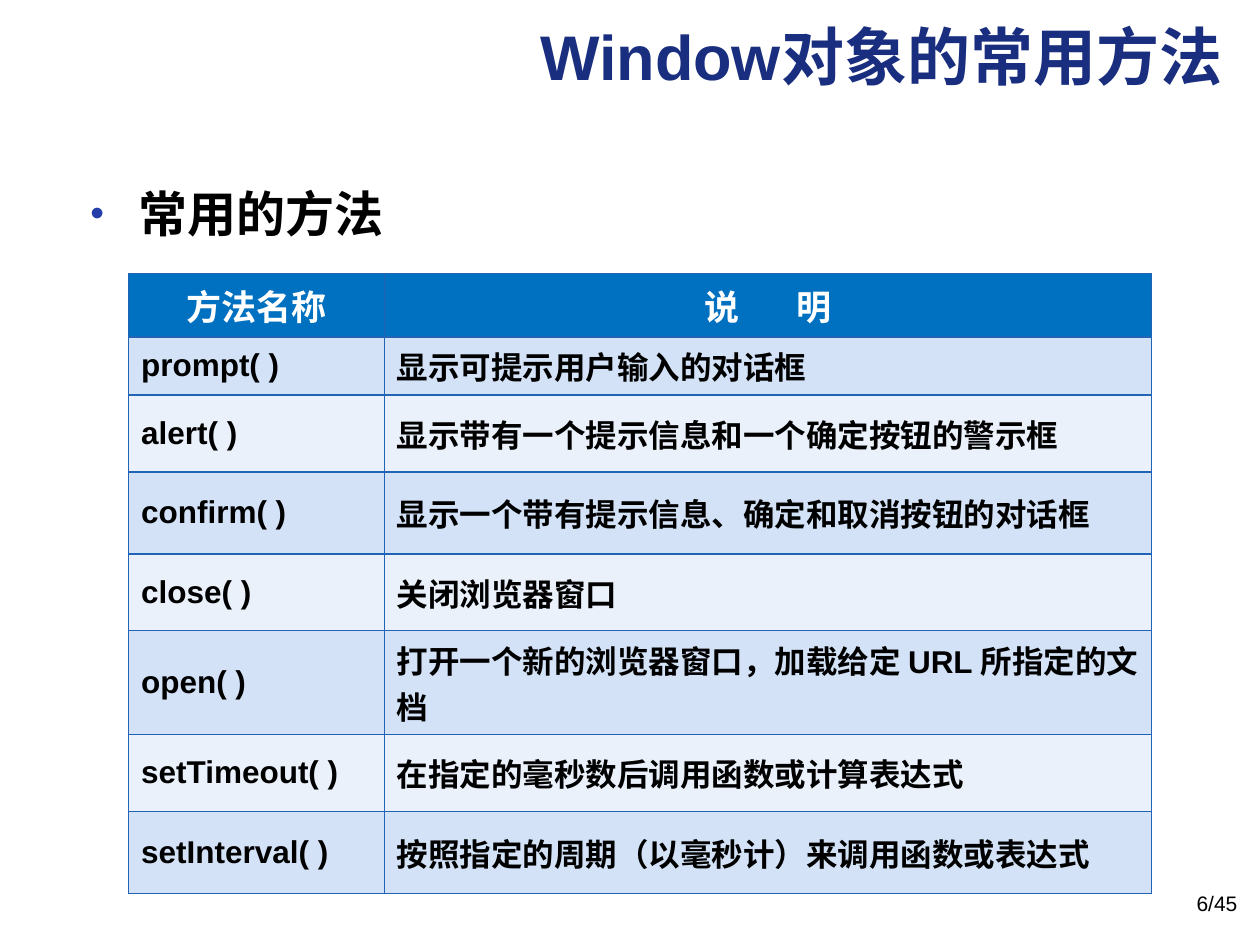
from dataclasses import dataclass
from typing import NamedTuple, Optional

from lxml.etree import SubElement
from pptx import Presentation
from pptx.dml.color import RGBColor
from pptx.enum.lang import MSO_LANGUAGE_ID
from pptx.enum.text import MSO_ANCHOR, MSO_AUTO_SIZE, PP_ALIGN
from pptx.oxml.ns import qn
from pptx.util import Inches, Pt


@dataclass(frozen=True)
class Theme:
    font: str = "Arial"
    title: str = "1A2E7F"
    text: str = "000000"
    header_text: str = "FFFFFF"
    bullet: str = "233DA9"
    border: str = "2163B4"
    header_fill: str = "0070C0"
    bands: tuple = ("D3E2F7", "EAF1FB")
    title_size: int = 36
    body_size: int = 28
    header_size: int = 20
    cell_size: int = 18
    number_size: int = 12
    paragraph_gap: float = 0.2


class Box(NamedTuple):
    left: float
    top: float
    width: float
    height: float


class Method(NamedTuple):
    name: str
    description: str
    height: float


THEME = Theme()
TITLE_BOX = Box(0.8, 0.09, 9, 0.98)
SUBTITLE_BOX = Box(0.62, 1.17, 9, 0.88)
TABLE_BOX = Box(1.02, 2.17, 8.13, 4.71)
NUMBER_BOX = Box(7.59, 7.02, 2.33, 0.4)
COLUMN_WIDTHS = (2.03, 6.09)
HEADER = Method("方法名称", "说 明", 0.4)
HEADER_LETTER_GAP = 27.8
METHODS = (
    Method("prompt( )", "显示可提示用户输入的对话框", 0.43),
    Method("alert( )", "显示带有一个提示信息和一个确定按钮的警示框", 0.61),
    Method("confirm( )", "显示一个带有提示信息、确定和取消按钮的对话框", 0.65),
    Method("close( )", "关闭浏览器窗口", 0.61),
    Method("open( )", "打开一个新的浏览器窗口，加载给定 URL 所指定的文档", 0.65),
    Method("setTimeout( )", "在指定的毫秒数后调用函数或计算表达式", 0.61),
    Method("setInterval( )", "按照指定的周期（以毫秒计）来调用函数或表达式", 0.65),
)


def write_text(frame, text: str, *, size: int, color: str = THEME.text,
               bold: bool = True, align: PP_ALIGN = PP_ALIGN.LEFT,
               gap: float = 0, word_gap: Optional[float] = None):
    paragraph = frame.paragraphs[0]
    paragraph.alignment = align
    paragraph.space_before = Pt(size * gap)
    pieces = [text] if word_gap is None else text.partition(" ")
    for piece in pieces:
        run = paragraph.add_run()
        run.text = piece
        run.font.name = THEME.font
        run.font.size = Pt(size)
        run.font.bold = bold
        run.font.color.rgb = RGBColor.from_string(color)
        run.font.language_id = MSO_LANGUAGE_ID.SIMPLIFIED_CHINESE
        if piece == " ":
            run._r.get_or_add_rPr().set("spc", str(round(word_gap * 100)))
    return paragraph


def place(shape, box: Box) -> None:
    shape.left, shape.top, shape.width, shape.height = map(Inches, box)
    frame = shape.text_frame
    frame.word_wrap = True
    frame.auto_size = MSO_AUTO_SIZE.NONE
    frame.vertical_anchor = MSO_ANCHOR.TOP


def add_text_box(slide, box: Box):
    shape = slide.shapes.add_textbox(*map(Inches, box))
    place(shape, box)
    return shape.text_frame


def add_bullet(paragraph) -> None:
    properties = paragraph._p.get_or_add_pPr()
    properties.set("marL", str(Inches(0.38)))
    properties.set("indent", str(-Inches(0.38)))
    color = SubElement(properties, qn("a:buClr"))
    SubElement(color, qn("a:srgbClr"), val=THEME.bullet)
    SubElement(properties, qn("a:buSzPct"), val="80000")
    SubElement(properties, qn("a:buFont"), typeface=THEME.font)
    SubElement(properties, qn("a:buChar"), char="•")


def format_cell(cell, fill: str) -> None:
    properties = cell._tc.get_or_add_tcPr()
    for side in ("a:lnL", "a:lnR", "a:lnT", "a:lnB"):
        line = SubElement(properties, qn(side), w=str(Pt(1)))
        solid = SubElement(line, qn("a:solidFill"))
        SubElement(solid, qn("a:srgbClr"), val=THEME.border)
    cell.fill.solid()
    cell.fill.fore_color.rgb = RGBColor.from_string(fill)


def add_method_table(slide) -> None:
    rows = (HEADER, *METHODS)
    table = slide.shapes.add_table(
        len(rows), len(COLUMN_WIDTHS), *map(Inches, TABLE_BOX)).table
    for column, width in zip(table.columns, COLUMN_WIDTHS):
        column.width = Inches(width)
    for index, method in enumerate(rows):
        table.rows[index].height = Inches(method.height)
        for column, text in enumerate((method.name, method.description)):
            cell = table.cell(index, column)
            if index == 0:
                format_cell(cell, THEME.header_fill)
                write_text(cell.text_frame, text, size=THEME.header_size,
                           color=THEME.header_text, align=PP_ALIGN.CENTER,
                           gap=THEME.paragraph_gap, word_gap=HEADER_LETTER_GAP)
            else:
                format_cell(cell, THEME.bands[(index - 1) % 2])
                cell.vertical_anchor = MSO_ANCHOR.MIDDLE
                write_text(cell.text_frame, text, size=THEME.cell_size,
                           gap=THEME.paragraph_gap)


def main() -> None:
    presentation = Presentation()
    presentation.slide_width = Inches(10)
    presentation.slide_height = Inches(7.5)
    slide = presentation.slides.add_slide(presentation.slide_layouts[5])

    title = slide.shapes.title
    place(title, TITLE_BOX)
    write_text(title.text_frame, "Window对象的常用方法", size=THEME.title_size,
               color=THEME.title, align=PP_ALIGN.RIGHT)

    subtitle = write_text(add_text_box(slide, SUBTITLE_BOX), "常用的方法",
                          size=THEME.body_size, gap=THEME.paragraph_gap)
    subtitle.line_spacing = 1.5
    add_bullet(subtitle)

    add_method_table(slide)
    write_text(add_text_box(slide, NUMBER_BOX), "6/45", size=THEME.number_size,
               bold=False, align=PP_ALIGN.RIGHT)
    presentation.save("out.pptx")


if __name__ == "__main__":
    main()
